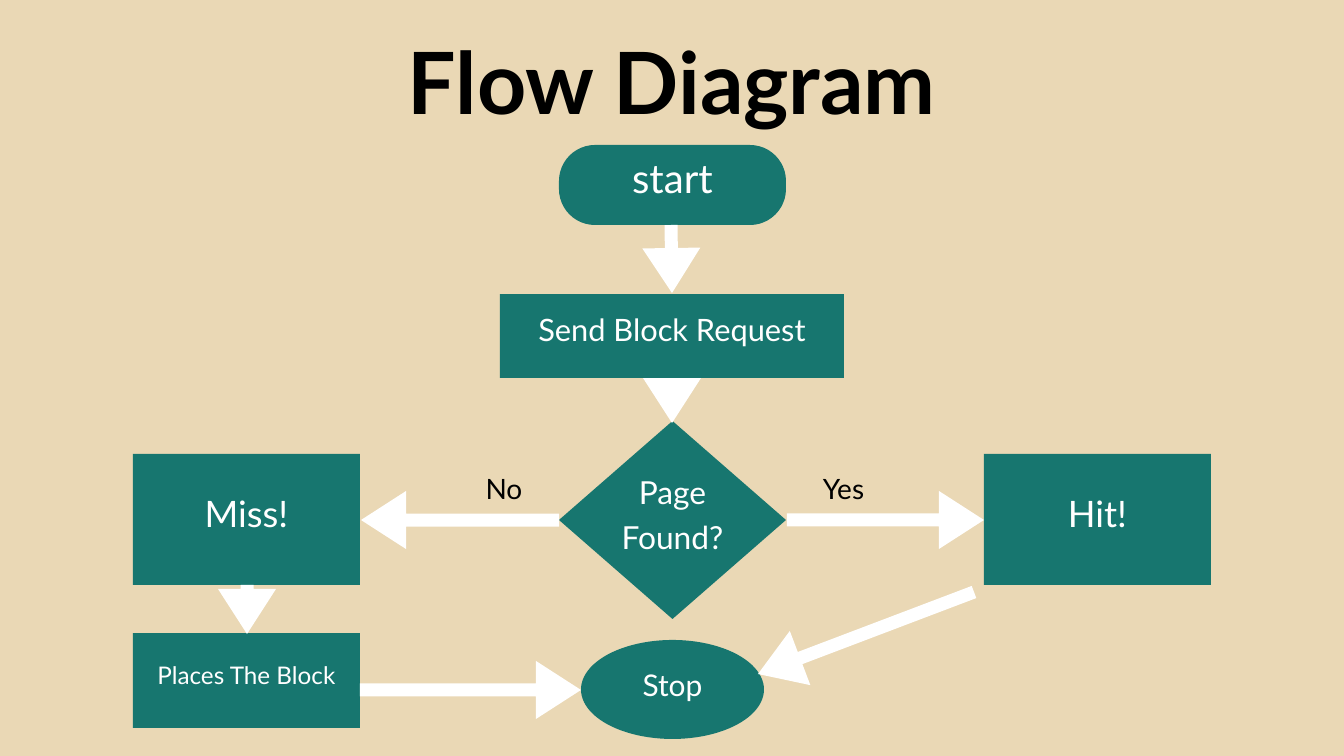
import math
from dataclasses import dataclass

import pptx
import pptx.dml.color
import pptx.enum.shapes
import pptx.enum.text
import pptx.util

SHAPE = pptx.enum.shapes.MSO_SHAPE
ANCHOR = pptx.enum.text.MSO_ANCHOR
W, H = 1344, 756


@dataclass(frozen=True)
class Theme:
    font: str = "Lato"
    back: str = "EAD8B5"
    node: str = "17766F"
    light: str = "FFFFFF"
    dark: str = "000000"
    title: int = 92
    start: int = 43
    request: int = 33
    decision: int = 34
    outcome: int = 39
    place: int = 26
    stop: int = 32
    label: int = 30
    leading: float = 1.4


THEME = Theme()


def px(n):
    return round(n * pptx.util.Inches(20) / W)


def paint(fill, color):
    fill.solid()
    fill.fore_color.rgb = pptx.dml.color.RGBColor.from_string(color)


def write(sp, text, size, color, anchor, wrap=True, rise=0, bold=False):
    tf = sp.text_frame
    tf.word_wrap = wrap
    tf.auto_size = pptx.enum.text.MSO_AUTO_SIZE.NONE
    tf.vertical_anchor = anchor
    tf.margin_left = tf.margin_right = tf.margin_top = 0
    tf.margin_bottom = px(rise)
    p = tf.paragraphs[0]
    p.alignment = pptx.enum.text.PP_ALIGN.CENTER
    p.line_spacing = pptx.util.Pt(size * THEME.leading)
    r = p.add_run()
    r.text = text
    r.font.name = THEME.font
    r.font.size = pptx.util.Pt(size)
    r.font.bold = bold
    r.font.color.rgb = pptx.dml.color.RGBColor.from_string(color)


def add_plain(s, kind, box, color):
    sp = s.shapes.add_shape(kind, *map(px, box))
    sp.shadow.inherit = False
    sp.line.fill.background()
    paint(sp.fill, color)
    return sp


def add_title(s, box, text):
    sp = s.shapes.title
    sp.left, sp.top, sp.width, sp.height = map(px, box)
    write(sp, text, THEME.title, THEME.dark, ANCHOR.TOP, bold=True)


def add_node(s, kind, box, text, size, rise):
    sp = add_plain(s, kind, box, THEME.node)
    if kind == SHAPE.ROUNDED_RECTANGLE:
        sp.adjustments[0] = 0.45
    write(sp, text, size, THEME.light, ANCHOR.MIDDLE, rise=rise)


def add_arrow(s, tail, tip):
    width, shaft, head = 58, 13, 45
    dx, dy = tip[0] - tail[0], tip[1] - tail[1]
    length = math.hypot(dx, dy)
    x, y = (tail[0] + tip[0]) / 2, (tail[1] + tip[1]) / 2
    box = (x - length / 2, y - width / 2, length, width)
    sp = add_plain(s, SHAPE.RIGHT_ARROW, box, THEME.light)
    sp.adjustments[0] = shaft / width
    sp.adjustments[1] = head / min(length, width)
    sp.rotation = math.degrees(math.atan2(dy, dx))


def add_label(s, box, text):
    sp = s.shapes.add_textbox(*map(px, box))
    write(sp, text, THEME.label, THEME.dark, ANCHOR.TOP, wrap=False)


def add_flow(s, box):
    x, y, w, h = box
    mid, left, right = x + w // 2, x, x + w - 227
    row = y + 375
    nodes = [
        (SHAPE.ROUNDED_RECTANGLE, (mid - 113, y, 227, 80), "start", THEME.start, 24),
        (SHAPE.RECTANGLE, (mid - 172, y + 149, 344, 84), "Send Block Request", THEME.request, 19),
        (SHAPE.DIAMOND, (mid - 113, y + 276, 227, 198), "Page Found?", THEME.decision, 18),
        (SHAPE.RECTANGLE, (left, y + 309, 227, 131), "Miss!", THEME.outcome, 21),
        (SHAPE.RECTANGLE, (right, y + 309, 227, 131), "Hit!", THEME.outcome, 21),
        (SHAPE.RECTANGLE, (left, y + 488, 227, 95), "Places The Block", THEME.place, 16),
        (SHAPE.OVAL, (mid - 91, y + 495, 183, 99), "Stop", THEME.stop, 16),
    ]
    for node in nodes:
        add_node(s, *node)
    arrows = [
        ((mid - 1, y + 80), (mid, y + 148)),
        ((mid, y + 233), (mid, y + 278)),
        ((mid - 113, row), (left + 228, row)),
        ((mid + 115, row), (right, row)),
        ((right - 10, y + 447), (mid + 86, y + 529)),
        ((left + 114, y + 440), (left + 114, y + 489)),
        ((left + 227, y + 545), (mid - 91, y + 545)),
    ]
    for tail, tip in arrows:
        add_arrow(s, tail, tip)
    add_label(s, (mid + 149, y + 321, 45, 36), "Yes")
    add_label(s, (mid - 187, y + 321, 38, 36), "No")


def main():
    prs = pptx.Presentation()
    prs.slide_width, prs.slide_height = px(W), px(H)
    s = prs.slides.add_slide(prs.slide_layouts[5])
    paint(s.background.fill, THEME.back)
    add_title(s, (388, 11, 568, 115), "Flow Diagram")
    add_flow(s, (133, 145, 1078, 594))
    prs.save("out.pptx")


if __name__ == "__main__":
    main()
